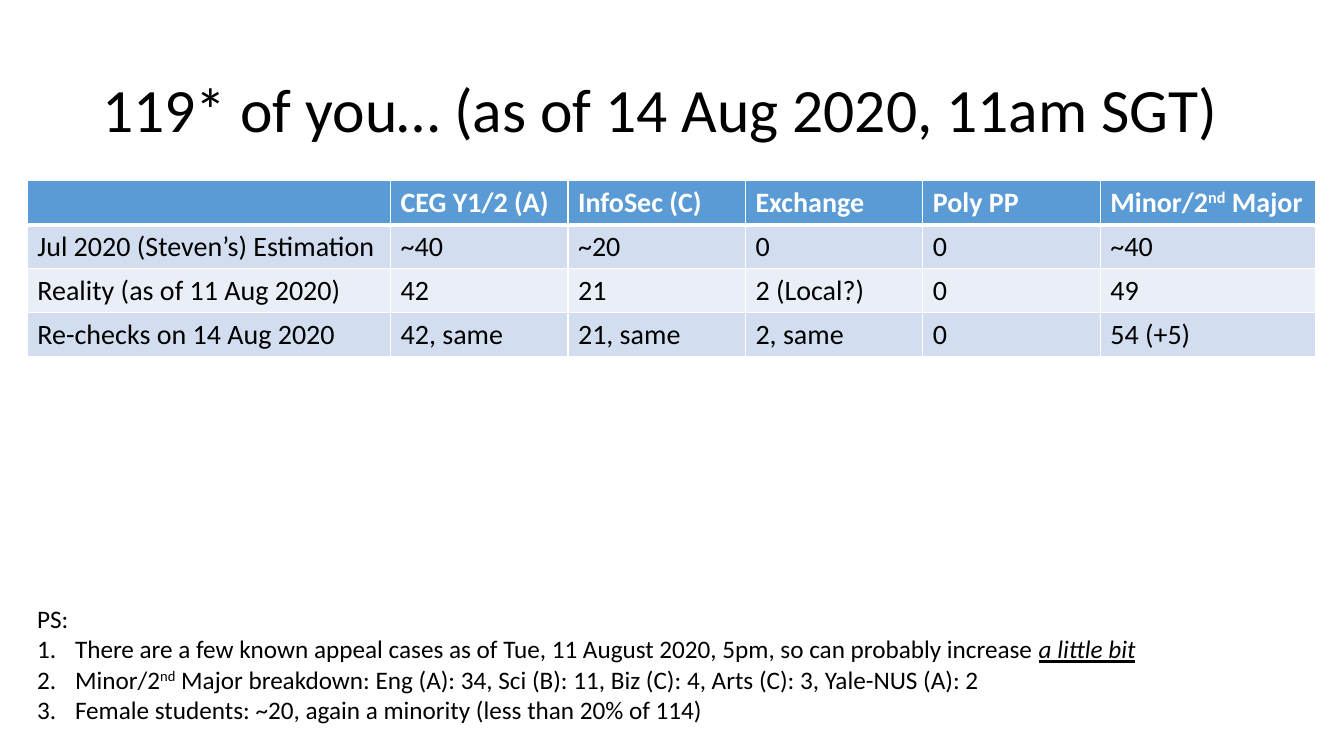
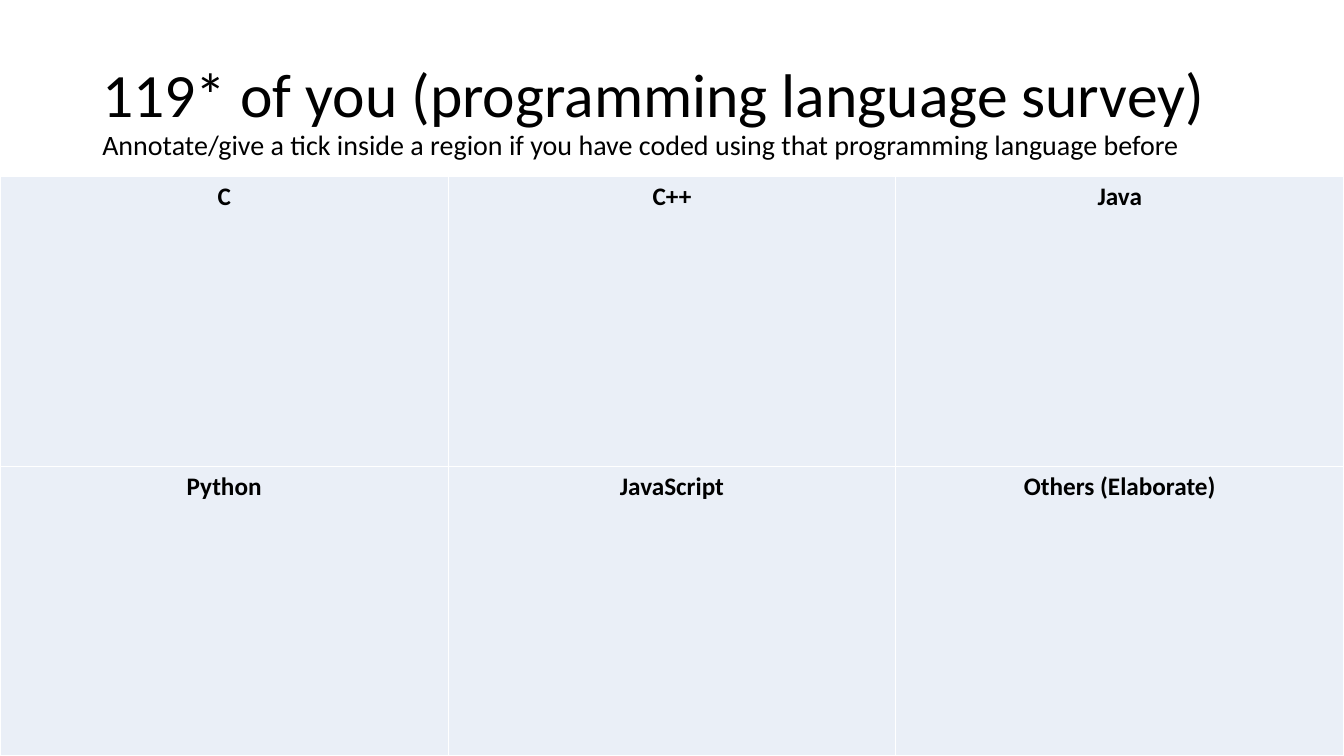
from lxml.etree import SubElement
from pptx import Presentation
from pptx.dml.color import RGBColor
from pptx.enum.text import MSO_ANCHOR as Anchor, PP_ALIGN as Align
from pptx.oxml.ns import qn
from pptx.util import Emu, Pt

EMU_PER_PX = 9525
PAGE_WIDTH, PAGE_HEIGHT = 1280, 720
FONT = "Calibri"
COLORS = {
    "text": "000000",
    "white": "FFFFFF",
    "header": "5B9BD5",
    "band": "D2DEEF",
    "pale": "EAEFF7",
}
SUPERSCRIPT_ND = ("nd", "superscript")

ENROLMENT = [
    ["", "CEG Y1/2 (A)", "InfoSec (C)", "Exchange", "Poly PP",
     ["Minor/2", SUPERSCRIPT_ND, " Major"]],
    ["Jul 2020 (Steven’s) Estimation", "~40", "~20", "0", "0", "~40"],
    ["Reality (as of 11 Aug 2020)", "42", "21", "2 (Local?)", "0", "49"],
    ["Re-checks on 14 Aug 2020", "42, same", "21, same", "2, same", "0", "54 (+5)"],
]
NOTES = [
    ["There are a few known appeal cases as of Tue, 11 August 2020, 5pm, "
     "so can probably increase ", ("a little bit", "stress")],
    ["Minor/2", SUPERSCRIPT_ND,
     " Major breakdown: Eng (A): 34, Sci (B): 11, Biz (C): 4, Arts (C): 3, Yale-NUS (A): 2"],
    "Female students: ~20, again a minority (less than 20% of 114)",
]
LANGUAGES = [
    ["C", "C++", "Java"],
    ["Python", "JavaScript", "Others (Elaborate)"],
]


def px(length):
    return Emu(length * EMU_PER_PX)


def rgb(name):
    return RGBColor.from_string(COLORS[name])


def format_span(span, size, color="text", bold=False):
    span.font.name = FONT
    span.font.size = Pt(size)
    span.font.bold = bold
    span.font.color.rgb = rgb(color)


def write(para, content, size, color="text", bold=False):
    """Fill a paragraph from a string, or a list of strings and (text, style) pairs."""
    for part in [content] if isinstance(content, str) else content:
        text, style = (part, None) if isinstance(part, str) else part
        span = para.add_run()
        span.text = text
        format_span(span, size, color, bold)
        if style == "superscript":
            span.font._element.set("baseline", "30000")
        elif style == "stress":
            span.font.italic = span.font.underline = True


def number(para, indent=36):
    """Turn a paragraph into an automatically numbered item."""
    properties = para._p.get_or_add_pPr()
    properties.set("marL", str(px(indent)))
    properties.set("indent", str(px(-indent)))
    SubElement(properties, qn("a:buAutoNum"), type="arabicPeriod")


def add_box(page, left, top, width, height):
    box = page.shapes.add_textbox(px(left), px(top), px(width), px(height))
    box.text_frame.word_wrap = True
    return box.text_frame


def add_title(page, title, subtitle=None):
    frame = add_box(page, 88, 38, 1104, 139)
    frame.vertical_anchor = Anchor.MIDDLE
    para = frame.paragraphs[0]
    para.line_spacing = 0.9
    para.text = f"{title}\v{subtitle}" if subtitle else title
    for span, size in zip(para.runs, (44, 20)):
        format_span(span, size)


def add_notes(page, heading, notes):
    frame = add_box(page, 26, 570, 1227, 126)
    write(frame.paragraphs[0], heading, 18)
    for note in notes:
        para = frame.add_paragraph()
        number(para)
        write(para, note, 18)


def style_cell(cell, fill, top=1, bottom=1):
    """Set the fill and white borders; top and bottom are widths in points."""
    properties = cell._tc.get_or_add_tcPr()
    for side, points in (("L", 1), ("R", 1), ("T", top), ("B", bottom)):
        line = SubElement(properties, qn(f"a:ln{side}"), w=str(Pt(points)))
        solid = SubElement(line, qn("a:solidFill"))
        SubElement(solid, qn("a:srgbClr"), val=COLORS["white"])
    cell.fill.solid()
    cell.fill.fore_color.rgb = rgb(fill)


def add_grid(page, left, top, widths, row_height, rows):
    """Add a plain table and return it, sized but without text."""
    table = page.shapes.add_table(
        len(rows), len(widths), px(left), px(top),
        px(sum(widths)), px(row_height * len(rows))).table
    table.first_row = table.horz_banding = False
    for column, width in zip(table.columns, widths):
        column.width = px(width)
    return table


def add_enrolment_table(page):
    table = add_grid(page, 26, 172, [346, 169, 169, 169, 169, 205], 42, ENROLMENT)
    for row, values in enumerate(ENROLMENT):
        header = row == 0
        fill = "header" if header else "band" if row % 2 else "pale"
        for column, value in enumerate(values):
            cell = table.cell(row, column)
            style_cell(cell, fill, top=3 if row == 1 else 1, bottom=3 if header else 1)
            if value:
                write(cell.text_frame.paragraphs[0], value, 20,
                      "white" if header else "text", bold=header)


def add_survey_table(page):
    table = add_grid(page, 0, 168, [427, 426, 427], 276, LANGUAGES)
    for row, names in enumerate(LANGUAGES):
        for column, name in enumerate(names):
            cell = table.cell(row, column)
            style_cell(cell, "pale")
            para = cell.text_frame.paragraphs[0]
            para.alignment = Align.CENTER
            write(para, name, 18, bold=True)


def add_page(deck):
    return deck.slides.add_slide(deck.slide_layouts[6])


def main():
    deck = Presentation()
    deck.slide_width, deck.slide_height = px(PAGE_WIDTH), px(PAGE_HEIGHT)

    page = add_page(deck)
    add_title(page, "119* of you… (as of 14 Aug 2020, 11am SGT)")
    add_enrolment_table(page)
    add_notes(page, "PS:", NOTES)

    page = add_page(deck)
    add_title(page, "119* of you (programming language survey)",
              "Annotate/give a tick inside a region if you have coded "
              "using that programming language before")
    add_survey_table(page)

    deck.save("out.pptx")


if __name__ == "__main__":
    main()
